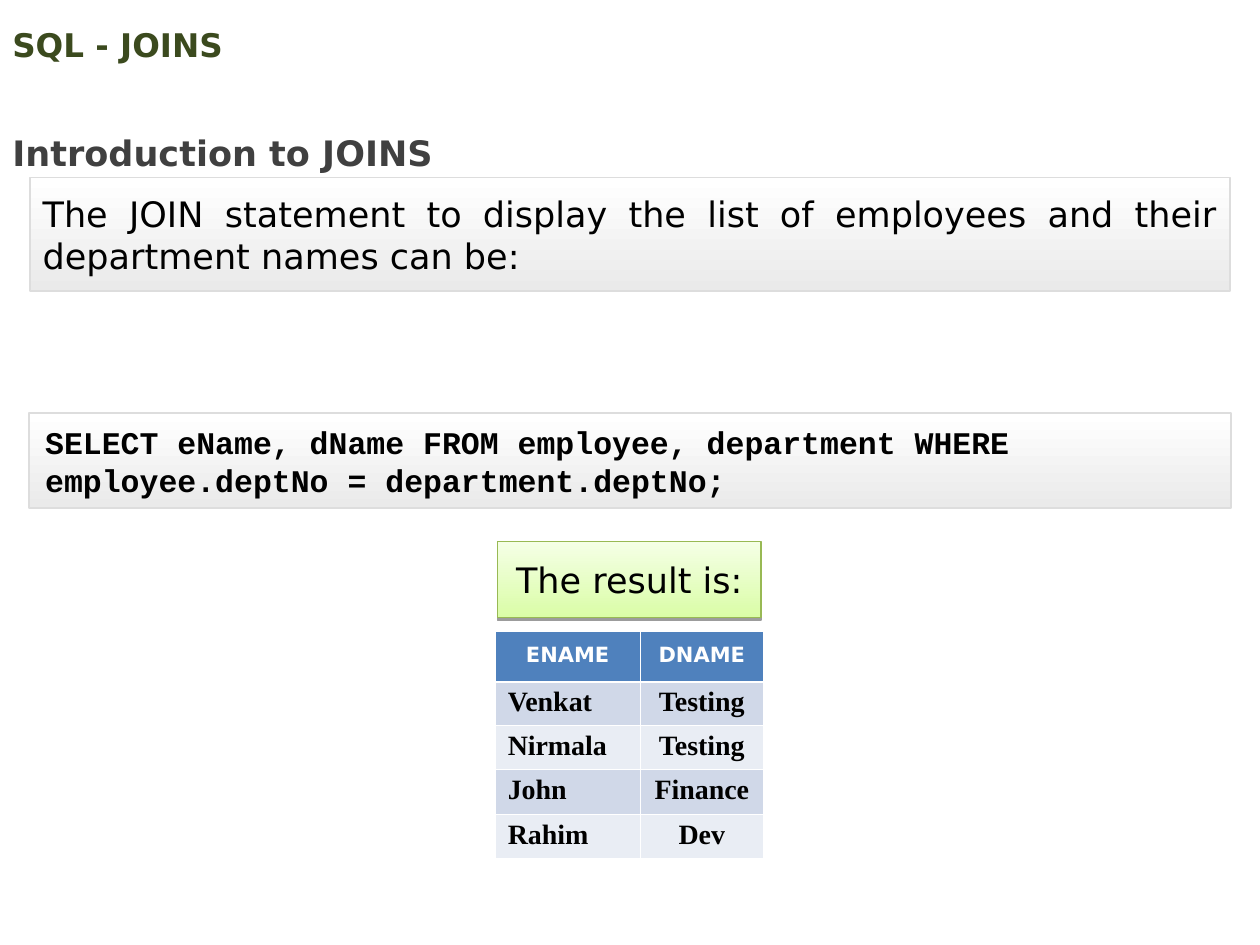
from lxml import etree
from pptx import Presentation
from pptx import util as u
from pptx.dml.color import RGBColor
from pptx.enum import shapes, text
from pptx.oxml import ns

SANS, SERIF, MONO = "DejaVu Sans", "Times New Roman", "Courier New"
LEFT, CENTER, JUSTIFY = text.PP_ALIGN.LEFT, text.PP_ALIGN.CENTER, text.PP_ALIGN.JUSTIFY
MIDDLE, TOP = text.MSO_ANCHOR.MIDDLE, text.MSO_ANCHOR.TOP
RESULT_ROWS = [
    ("ENAME", "DNAME"),
    ("Venkat", "Testing"),
    ("Nirmala", "Testing"),
    ("John", "Finance"),
    ("Rahim", "Dev"),
]


def rgb(value):
    """Turn a hex string into a colour."""
    return RGBColor.from_string(value)


def inches(*lengths):
    """Turn numbers into lengths."""
    return [u.Inches(length) for length in lengths]


def write(frame, wording, size, font=SANS, color="000000", bold=False, align=LEFT, spacing=None):
    """Put one formatted paragraph into a text frame."""
    frame.text = wording
    paragraph = frame.paragraphs[0]
    paragraph.alignment = align
    paragraph.line_spacing = spacing
    face = paragraph.runs[0].font
    face.name, face.size, face.bold = font, u.Pt(size), bold
    face.color.rgb = rgb(color)


def add_label(slide, place, wording, size, anchor=TOP, **style):
    """Add a wrapping text box."""
    frame = slide.shapes.add_textbox(*inches(*place)).text_frame
    frame.word_wrap = True
    frame.vertical_anchor = anchor
    write(frame, wording, size, **style)


def add_panel(slide, place, top_color, bottom_color, line_color, line_width):
    """Add a rectangle shaded from top to bottom."""
    panel = slide.shapes.add_shape(shapes.MSO_SHAPE.RECTANGLE, *inches(*place))
    panel.shadow.inherit = False
    panel.fill.gradient()
    panel.fill.gradient_angle = 270
    for stop, color in zip(panel.fill.gradient_stops, (top_color, bottom_color)):
        stop.color.rgb = rgb(color)
    panel.line.color.rgb = rgb(line_color)
    panel.line.width = u.Pt(line_width)
    frame = panel.text_frame
    frame.margin_top = frame.margin_bottom = 0
    frame.vertical_anchor = MIDDLE
    return panel


def add_grey_panel(slide, place):
    """Add a light grey panel."""
    return add_panel(slide, place, "FFFFFF", "EAEAEA", "DDDDDD", 1)


def drop_shadow(panel, distance, opacity):
    """Give a panel a sharp black shadow straight below it."""
    effects = panel._element.spPr.find(ns.qn("a:effectLst"))
    shadow = etree.SubElement(effects, ns.qn("a:outerShdw"), blurRad="0",
                              dist=str(u.Pt(distance)), dir="5400000", rotWithShape="0")
    black = etree.SubElement(shadow, ns.qn("a:srgbClr"), val="000000")
    etree.SubElement(black, ns.qn("a:alpha"), val=str(opacity * 1000))


def set_borders(cell, color, widths):
    """Draw the left, right, top and bottom borders of a cell."""
    properties = cell._tc.get_or_add_tcPr()
    for position, (side, width) in enumerate(zip("LRTB", widths)):
        border = etree.Element(ns.qn(f"a:ln{side}"), w=str(u.Pt(width)))
        fill = etree.SubElement(border, ns.qn("a:solidFill"))
        etree.SubElement(fill, ns.qn("a:srgbClr"), val=color)
        properties.insert(position, border)


def add_result_table(slide, place, widths, heights):
    """Add the table of employees and departments."""
    table = slide.shapes.add_table(len(RESULT_ROWS), len(widths), *inches(*place)).table
    for column, width in zip(table.columns, widths):
        column.width = u.Inches(width)
    for row, height in zip(table.rows, heights):
        row.height = u.Inches(height)
    thin, thick = 0.45, 1.47
    for r, names in enumerate(RESULT_ROWS):
        for c, name in enumerate(names):
            cell = table.cell(r, c)
            cell.vertical_anchor = MIDDLE
            cell.fill.solid()
            if r == 0:
                band, style = "4F81BD", dict(size=12, color="FFFFFF", align=CENTER)
            else:
                band = "D0D8E8" if r % 2 else "E9EDF4"
                style = dict(size=16, font=SERIF, align=CENTER if c else LEFT)
            cell.fill.fore_color.rgb = rgb(band)
            write(cell.text_frame, name, bold=True, spacing=0.86, **style)
            set_borders(cell, "FFFFFF", (thin, thin, thick if r == 1 else thin,
                                         thick if r == 0 else thin))


def main():
    """Build the slide and save it."""
    deck = Presentation()
    deck.slide_width, deck.slide_height = inches(10, 7.5)
    slide = deck.slides.add_slide(deck.slide_layouts[6])

    add_label(slide, (0, 0.14, 9, 0.43), "SQL - JOINS", 18.6, MIDDLE, color="3B4A1E", bold=True)
    statement = add_grey_panel(slide, (0.24, 1.41, 9.52, 0.9))
    write(statement.text_frame, "The JOIN statement to display the list of employees "
          "and their department names can be:", 20, align=JUSTIFY)
    add_label(slide, (0, 0.83, 7.09, 0.6), "Introduction to JOINS", 20,
              color="404040", bold=True, spacing=1.5)
    add_result_table(slide, (3.93, 5.01, 2.13, 1.8), (1.15, 0.98), [0.4] + [0.35] * 4)

    add_grey_panel(slide, (0.23, 3.28, 9.54, 0.75))
    add_label(slide, (0.26, 3.31, 9.49, 0.7), "SELECT eName, dName FROM employee, department "
              "WHERE employee.deptNo = department.deptNo;", 18, font=MONO, bold=True)
    result = add_panel(slide, (3.95, 4.3, 2.09, 0.6), "F5FFE6", "DAFDA7", "98B954", 0.75)
    drop_shadow(result, 1.6, 38)
    write(result.text_frame, "The result is:", 20, align=CENTER)

    deck.save("out.pptx")


if __name__ == "__main__":
    main()
